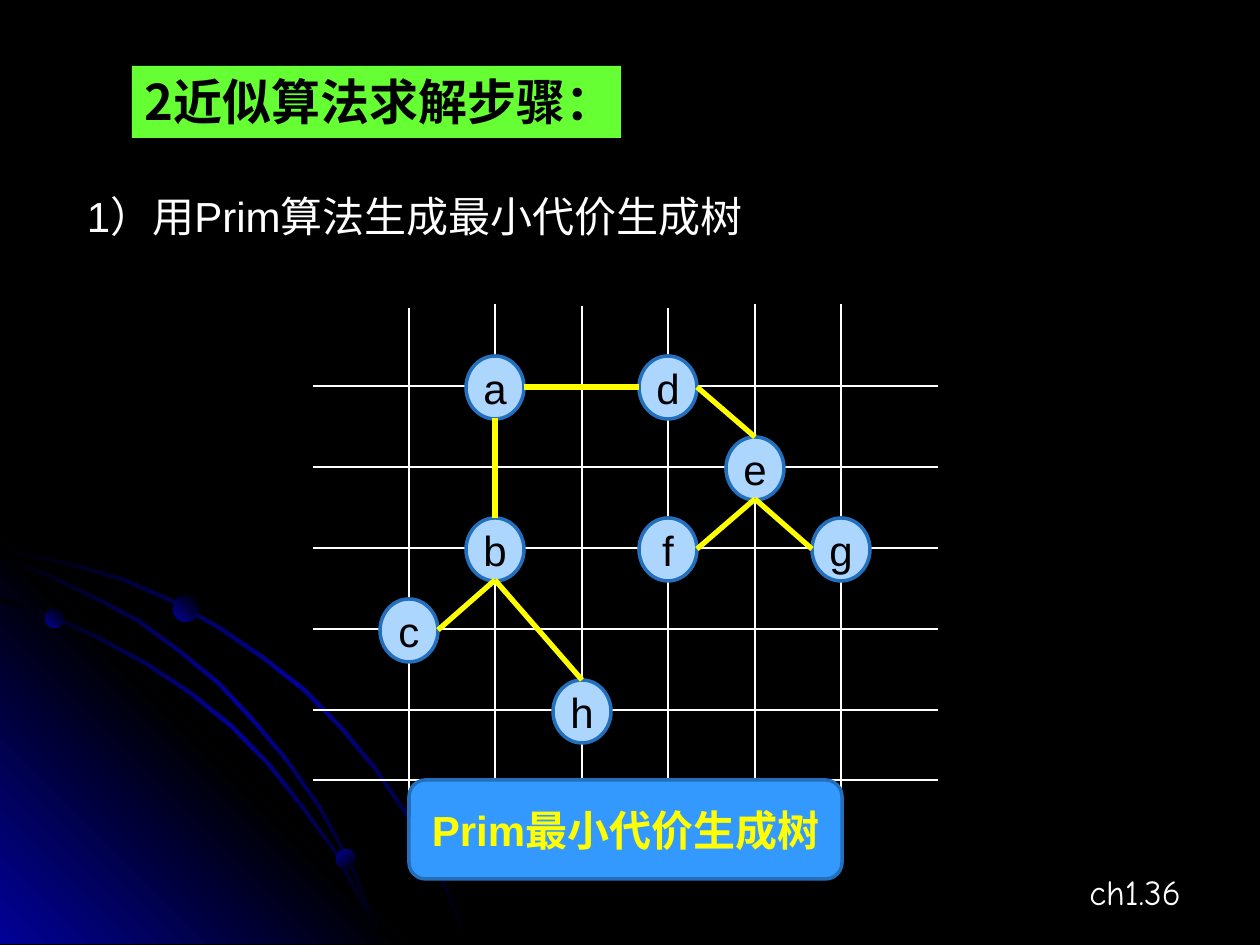
from copy import deepcopy
from dataclasses import dataclass

from lxml import etree
from pptx import Presentation
from pptx.dml.color import RGBColor
from pptx.enum.shapes import MSO_CONNECTOR, MSO_SHAPE
from pptx.enum.text import MSO_ANCHOR, PP_ALIGN
from pptx.oxml.ns import qn
from pptx.util import Emu, Pt

ELLIPSE, RECTANGLE, ROUNDED = MSO_SHAPE.OVAL, MSO_SHAPE.RECTANGLE, MSO_SHAPE.ROUNDED_RECTANGLE
STRAIGHT = MSO_CONNECTOR.STRAIGHT
LEFT, CENTER, RIGHT = PP_ALIGN.LEFT, PP_ALIGN.CENTER, PP_ALIGN.RIGHT
TOP, MIDDLE = MSO_ANCHOR.TOP, MSO_ANCHOR.MIDDLE
EMU_PER_PX = 914400 / 126


@dataclass(frozen=True)
class Theme:
    """Colours, fonts and type sizes of the slide."""

    black: str = "000000"
    white: str = "FFFFFF"
    navy: str = "010199"
    green: str = "66FF33"
    yellow: str = "FFFF00"
    pale_blue: str = "ADD6FF"
    blue: str = "3399FF"
    outline: str = "236FBC"
    title_font: str = "Noto Sans CJK SC"
    body_font: str = "Arial"
    number_font: str = "Comic Neue"
    title_size: int = 28
    body_size: int = 24
    number_size: int = 20
    grid_width: float = 1.5
    outline_width: int = 2
    edge_width: int = 3


THEME = Theme()
BAND_FILL = ((THEME.black, THEME.navy, THEME.black), 315)
CORNER_FILL = ((THEME.navy, THEME.black, THEME.navy), 45)

BAND_EDGES = (
    ((0, 552), (35, 558), (71, 566), (122, 581), (170, 602), (218, 629), (262, 659), (304, 692),
     (341, 730), (375, 771), (407, 818), (425, 848), (441, 879), (454, 911), (466, 944)),
    ((0, 601), (49, 617), (97, 639), (145, 665), (189, 694), (231, 728), (268, 766), (302, 809),
     (334, 853), (359, 900), (370, 922), (379, 944)),
    ((0, 559), (45, 576), (93, 599), (137, 622), (179, 653), (218, 685), (255, 725), (286, 762),
     (318, 808), (336, 840), (353, 874), (368, 910), (379, 944)),
)
DOTS = ((45, 609, 19, 45), (336, 849, 20, 315), (173, 596, 26, 45))

COLUMNS = [409 + 173 * index // 2 for index in range(6)]
ROWS = [386 + 81 * index for index in range(5)] + [780]
COLUMN_TOPS = (308, 304, 306, 308, 304, 304)
NODE_WIDTH, NODE_HEIGHT = 58, 63
NODES = {"a": (1, 0), "d": (3, 0), "b": (1, 2), "c": (0, 3),
         "h": (2, 4), "e": (4, 1), "f": (3, 2), "g": (5, 2)}
SIDES = {"left": (-29, 0), "right": (29, 0), "top": (0, -31), "bottom": (0, 31)}
EDGES = (("a", "right", "d", "left"), ("a", "bottom", "b", "top"), ("d", "right", "e", "top"),
         ("e", "bottom", "f", "right"), ("e", "bottom", "g", "left"),
         ("b", "bottom", "c", "right"), ("b", "bottom", "h", "top"))


def px(length):
    """Turn pixels into EMU."""
    return Emu(round(length * EMU_PER_PX))


def node_center(name):
    """Return the centre of a node on the grid."""
    column, row = NODES[name]
    return COLUMNS[column], ROWS[row] + 1


def node_side(name, side):
    """Return the point where an edge meets a node."""
    return tuple(map(sum, zip(node_center(name), SIDES[side])))


class SlideBuilder:
    """Draws styled elements on the current slide."""

    def __init__(self, slide, theme):
        """Keep the slide and theme and paint the background."""
        self.slide, self.theme = slide, theme
        self.paint(slide.background.fill, theme.black)

    def paint(self, fill, color):
        """Apply a solid colour."""
        fill.solid()
        fill.fore_color.rgb = RGBColor.from_string(color)

    def gradient(self, shape, colors, angle):
        """Apply evenly spaced gradient stops without an outline."""
        shape.shadow.inherit = False
        shape.line.fill.background()
        shape.fill.gradient()
        shape.fill.gradient_angle = angle
        stop_list = shape._element.spPr.find(qn("a:gradFill")).find(qn("a:gsLst"))
        while len(stop_list) < len(colors):
            stop_list.append(deepcopy(stop_list[-1]))
        for index, (stop, color) in enumerate(zip(shape.fill.gradient_stops, colors)):
            stop.color.rgb = RGBColor.from_string(color)
            stop.position = index / (len(colors) - 1)

    def outline(self, points, colors, angle):
        """Draw a closed polygon with a gradient."""
        builder = self.slide.shapes.build_freeform(*points[0], scale=EMU_PER_PX)
        builder.add_line_segments(points[1:], close=True)
        self.gradient(builder.convert_to_shape(), colors, angle)

    def dot(self, left, top, size, angle):
        """Draw a shaded dot."""
        shape = self.slide.shapes.add_shape(ELLIPSE, *map(px, (left, top, size, size)))
        self.gradient(shape, (self.theme.navy, self.theme.black), angle)

    def line(self, start, end, color, width):
        """Draw a straight line."""
        connector = self.slide.shapes.add_connector(STRAIGHT, *map(px, (*start, *end)))
        connector.line.color.rgb = RGBColor.from_string(color)
        connector.line.width = Pt(width)
        etree.SubElement(connector._element.spPr, qn("a:effectLst"))

    def label(self, shape, text, color, alignment=LEFT, anchor=TOP, margins=(13, 6), wrap=True, **font):
        """Put one formatted paragraph in a shape."""
        frame = shape.text_frame
        horizontal, vertical = map(px, margins)
        settings = {"word_wrap": wrap, "vertical_anchor": anchor,
                    "margin_left": horizontal, "margin_right": horizontal,
                    "margin_top": vertical, "margin_bottom": vertical}
        for name, value in settings.items():
            setattr(frame, name, value)
        paragraph = frame.paragraphs[0]
        paragraph.alignment = alignment
        run = paragraph.add_run()
        run.text = text
        run.font.color.rgb = RGBColor.from_string(color)
        values = {"name": self.theme.body_font, "size": Pt(self.theme.body_size), **font}
        for name, value in values.items():
            setattr(run.font, name, value)

    def text(self, box, text, color, **format_values):
        """Add a text box."""
        self.label(self.slide.shapes.add_textbox(*map(px, box)), text, color, **format_values)

    def panel(self, kind, box, fill, text, color, bordered=True, **format_values):
        """Add a filled shape with text."""
        shape = self.slide.shapes.add_shape(kind, *map(px, box))
        shape.shadow.inherit = False
        self.paint(shape.fill, fill)
        if bordered:
            shape.line.color.rgb = RGBColor.from_string(self.theme.outline)
            shape.line.width = Pt(self.theme.outline_width)
        else:
            shape.line.fill.background()
        self.label(shape, text, color, **format_values)

    def node(self, name):
        """Add a labelled graph node."""
        x, y = node_center(name)
        box = (x - NODE_WIDTH // 2, y - NODE_HEIGHT // 2, NODE_WIDTH, NODE_HEIGHT)
        self.panel(ELLIPSE, box, self.theme.pale_blue, name, self.theme.black,
                   alignment=CENTER, anchor=MIDDLE, margins=(0, 0), wrap=False)


def main():
    """Build and save the slide."""
    presentation = Presentation()
    presentation.slide_width, presentation.slide_height = px(1260), px(945)
    builder = SlideBuilder(presentation.slides.add_slide(presentation.slide_layouts[6]), THEME)

    bands = [edge + tuple((x + 2, y - 3) for x, y in reversed(edge)) for edge in BAND_EDGES]
    builder.outline(bands[0], *BAND_FILL)
    builder.outline(((0, 538), (406, 944), (0, 944)), *CORNER_FILL)
    for band in bands[1:]:
        builder.outline(band, *BAND_FILL)
    for dot in DOTS:
        builder.dot(*dot)
    builder.text((907, 864, 287, 56), "ch1.36", THEME.white, alignment=RIGHT,
                 name=THEME.number_font, size=Pt(THEME.number_size))

    for y in ROWS:
        builder.line((313, y), (938, y), THEME.white, THEME.grid_width)
    for x, top in zip(COLUMNS, COLUMN_TOPS):
        builder.line((x, top), (x, 862), THEME.white, THEME.grid_width)
    for name in NODES:
        builder.node(name)

    builder.panel(RECTANGLE, (132, 66, 489, 72), THEME.green, "2近似算法求解步骤：", THEME.black,
                  bordered=False, name=THEME.title_font, size=Pt(THEME.title_size), bold=True)
    for start, start_side, end, end_side in EDGES:
        builder.line(node_side(start, start_side), node_side(end, end_side),
                     THEME.yellow, THEME.edge_width)
    builder.text((74, 185, 706, 113), "1）用Prim算法生成最小代价生成树", THEME.white)
    builder.panel(ROUNDED, (409, 780, 433, 99), THEME.blue, "Prim最小代价生成树", THEME.yellow,
                  alignment=CENTER, anchor=MIDDLE, bold=True)
    presentation.save("out.pptx")


if __name__ == "__main__":
    main()
